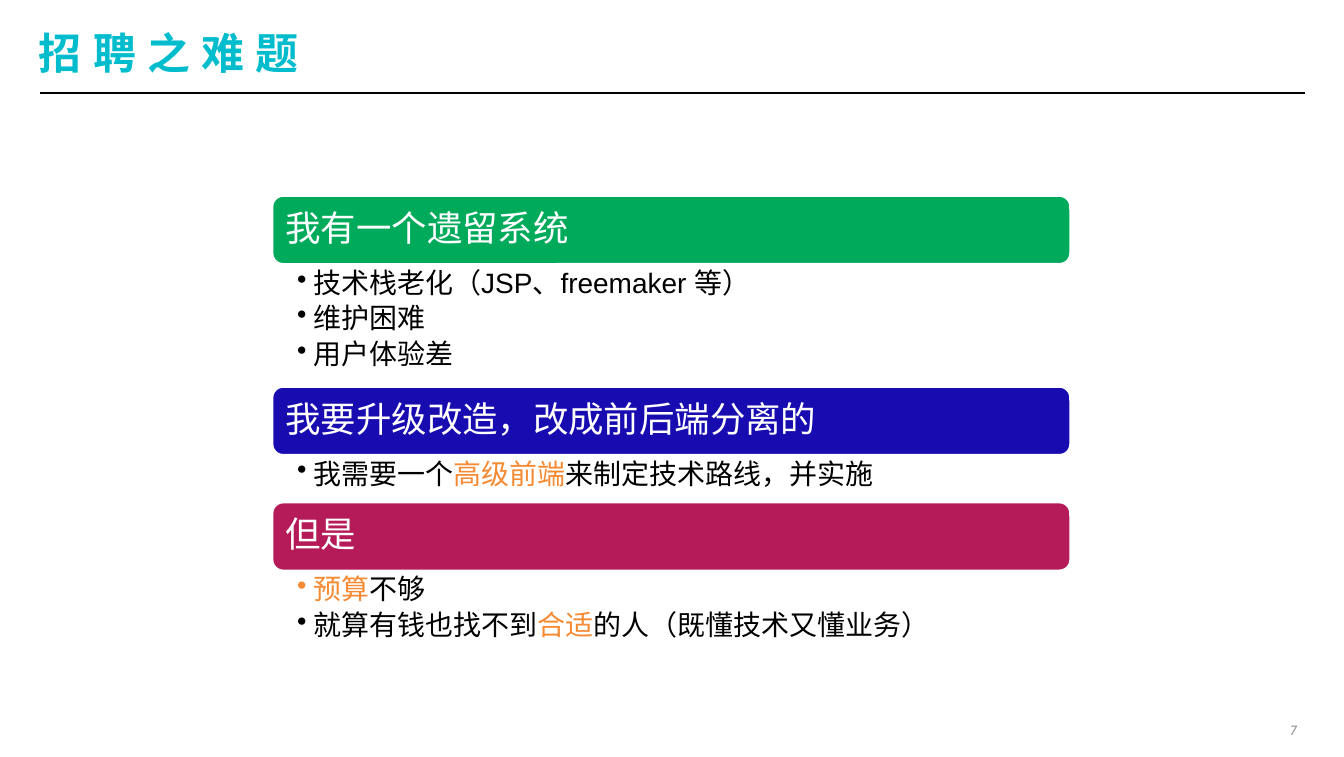
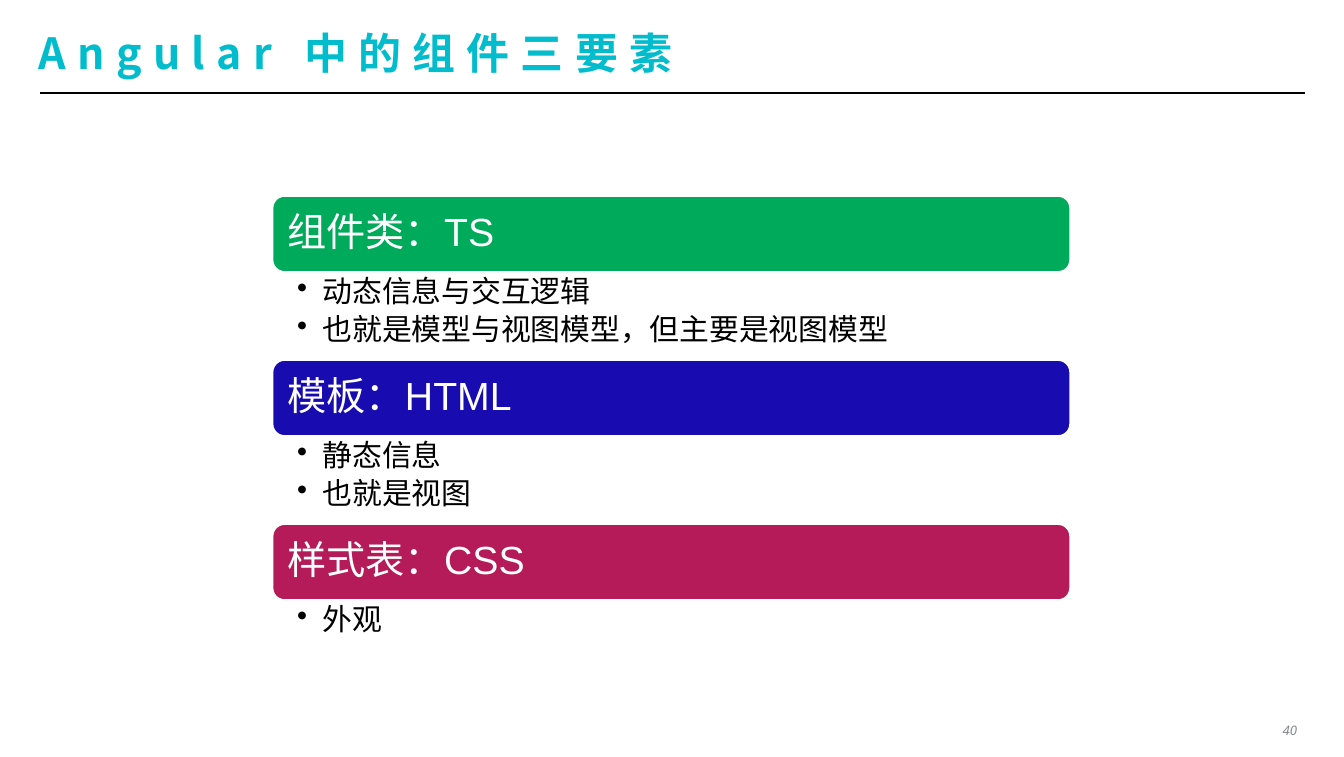
from dataclasses import dataclass

from lxml.etree import SubElement
from pptx import Presentation
from pptx.dml.color import RGBColor
from pptx.enum.shapes import MSO_CONNECTOR, MSO_SHAPE
from pptx.enum.text import MSO_ANCHOR, PP_ALIGN
from pptx.oxml.ns import qn
from pptx.util import Inches, Pt

WHITE = RGBColor(0xFF, 0xFF, 0xFF)
BLACK = RGBColor(0x00, 0x00, 0x00)
CYAN = RGBColor(0x00, 0xBC, 0xCD)
GRAY = RGBColor(0x80, 0x81, 0x84)
ORANGE = RGBColor(0xF5, 0x8A, 0x33)
BAR_COLORS = (
    RGBColor(0x00, 0xAA, 0x5B),
    RGBColor(0x18, 0x0C, 0xB1),
    RGBColor(0xB5, 0x1B, 0x58),
)

TITLE_FONT = "Noto Sans CJK JP"
BODY_FONT = "Arial"
NUMBER_FONT = "Open Sans"
LIST_BOX = (2.02, 1.45, 5.95)  # left, top, width


@dataclass
class ListStyle:
    bar_height: float
    bar_size: int
    bar_inset: float
    item_size: int
    item_height: float
    item_padding: float
    indent: float


COMPACT = ListStyle(0.52, 19, 0.08, 15, 0.28, 0.06, 0.12)
ROOMY = ListStyle(0.58, 21, 0.09, 16, 0.26, 0.12, 0.19)

# Text between bars is highlighted.
PAGES = [
    ("招聘之难题", 7, COMPACT, [
        ("我有一个遗留系统",
         ["技术栈老化（JSP、freemaker 等）", "维护困难", "用户体验差"]),
        ("我要升级改造，改成前后端分离的",
         ["我需要一个|高级前端|来制定技术路线，并实施"]),
        ("但是",
         ["|预算|不够", "就算有钱也找不到|合适|的人（既懂技术又懂业务）"]),
    ]),
    ("Angular 中的组件三要素", 40, ROOMY, [
        ("组件类：TS",
         ["动态信息与交互逻辑", "也就是模型与视图模型，但主要是视图模型"]),
        ("模板：HTML", ["静态信息", "也就是视图"]),
        ("样式表：CSS", ["外观"]),
    ]),
]


def set_insets(frame, left, top, right, bottom):
    frame.margin_left, frame.margin_top = Inches(left), Inches(top)
    frame.margin_right, frame.margin_bottom = Inches(right), Inches(bottom)


def add_text_box(page, left, top, width, height, insets):
    box = page.shapes.add_textbox(
        Inches(left), Inches(top), Inches(width), Inches(height))
    frame = box.text_frame
    frame.word_wrap = True
    set_insets(frame, *insets)
    return frame


def style_font(font, name, size, color):
    font.name = name
    font.size = Pt(size)
    font.color.rgb = color


def add_title(page, title):
    frame = add_text_box(page, 0.29, 0.18, 9.41, 0.42, (0, 0, 0, 0))
    frame.vertical_anchor = MSO_ANCHOR.MIDDLE
    frame.text = title
    span = frame.paragraphs[0].runs[0]
    style_font(span.font, TITLE_FONT, 23, CYAN)
    span.font.bold = True
    properties = span._r.get_or_add_rPr()
    properties.set("spc", "600")
    SubElement(properties, qn("a:ea")).set("typeface", TITLE_FONT)

    rule = page.shapes.add_connector(
        MSO_CONNECTOR.STRAIGHT,
        Inches(0.3), Inches(0.69), Inches(9.71), Inches(0.69))
    rule.line.color.rgb = BLACK
    rule.line.width = Pt(1)
    SubElement(rule._element.spPr, qn("a:effectLst"))


def add_page_number(page, number):
    frame = add_text_box(page, 9.5, 5.34, 0.21, 0.17, (0, 0.03, 0.06, 0.03))
    frame.text = str(number)
    para = frame.paragraphs[0]
    para.alignment = PP_ALIGN.RIGHT
    font = para.runs[0].font
    style_font(font, NUMBER_FONT, 7, GRAY)
    font.italic = True


def add_bar(page, left, top, width, label, color, style):
    bar = page.shapes.add_shape(
        MSO_SHAPE.ROUNDED_RECTANGLE,
        Inches(left), Inches(top), Inches(width), Inches(style.bar_height))
    bar.shadow.inherit = False
    bar.fill.solid()
    bar.fill.fore_color.rgb = color
    bar.line.color.rgb = WHITE
    bar.line.width = Pt(2)
    frame = bar.text_frame
    frame.word_wrap = True
    frame.vertical_anchor = MSO_ANCHOR.MIDDLE
    set_insets(frame, *[style.bar_inset] * 4)
    frame.text = label
    para = frame.paragraphs[0]
    para.alignment = PP_ALIGN.LEFT
    para.line_spacing = 0.9
    style_font(para.runs[0].font, BODY_FONT, style.bar_size, WHITE)


def add_item(para, item, style):
    properties = para._p.get_or_add_pPr()
    indent = Inches(style.indent)
    properties.set("marL", str(indent))
    properties.set("indent", str(-indent))
    SubElement(properties, qn("a:buChar")).set("char", "•")
    para.line_spacing = 0.9
    para.space_after = Pt(0.2 * style.item_size)
    for index, text in enumerate(item.split("|")):
        if text:
            span = para.add_run()
            span.text = text
            color = ORANGE if index % 2 else BLACK
            style_font(span.font, BODY_FONT, style.item_size, color)


def add_section_list(page, box, sections, style):
    """Stack coloured bars, each followed by its bulleted items."""
    left, top, width = box
    for (label, items), color in zip(sections, BAR_COLORS):
        add_bar(page, left, top, width, label, color, style)
        top += style.bar_height
        height = style.item_padding + style.item_height * len(items)
        frame = add_text_box(
            page, left, top, width, height, (0.19, 0.03, 0.15, 0.03))
        for index, item in enumerate(items):
            para = frame.add_paragraph() if index else frame.paragraphs[0]
            add_item(para, item, style)
        top += height


def main():
    deck = Presentation()
    deck.slide_width, deck.slide_height = Inches(10), Inches(5.63)
    for title, number, style, sections in PAGES:
        page = deck.slides.add_slide(deck.slide_layouts[6])
        add_title(page, title)
        add_page_number(page, number)
        add_section_list(page, LIST_BOX, sections, style)
    deck.save("out.pptx")


if __name__ == "__main__":
    main()
